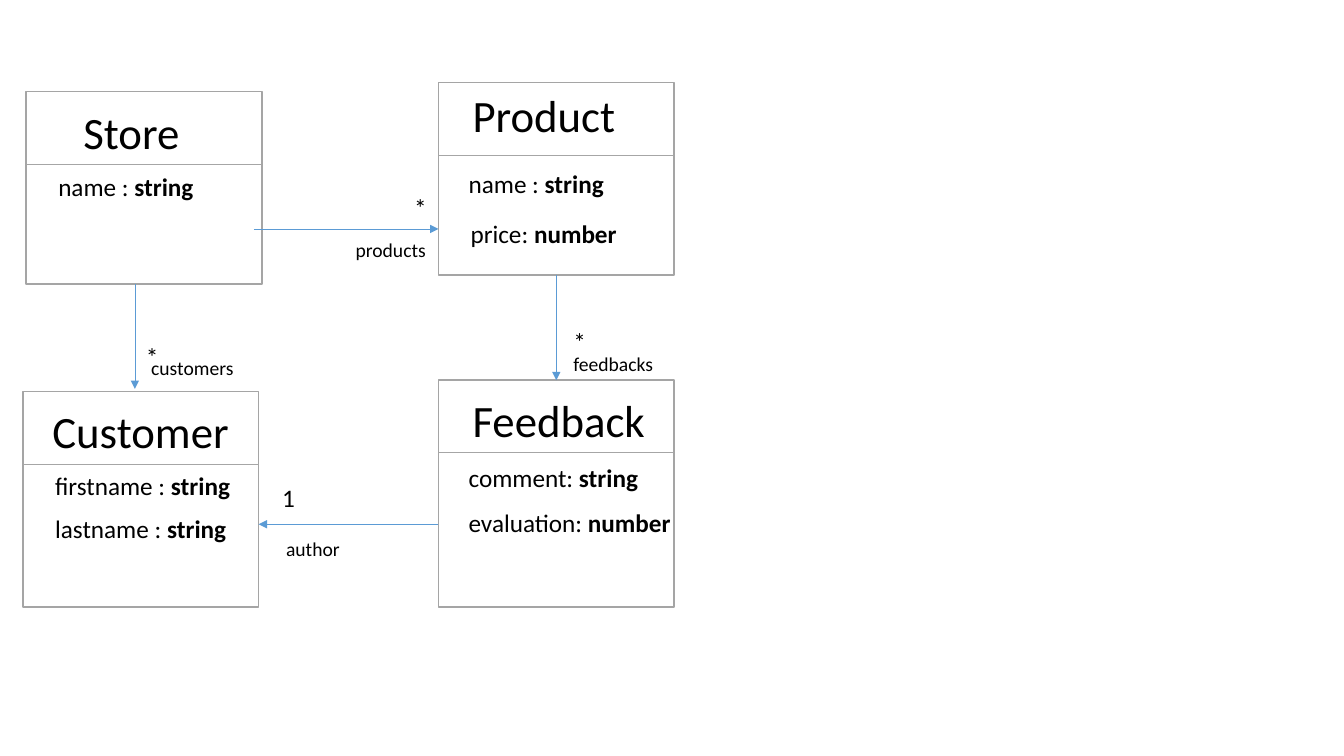
from dataclasses import dataclass
from lxml.etree import SubElement
from pptx import Presentation
from pptx.dml.color import RGBColor as Rgb
from pptx.enum.shapes import MSO_CONNECTOR as Link, MSO_SHAPE as Form
from pptx.enum.text import MSO_AUTO_SIZE as Fit
from pptx.oxml.ns import qn
from pptx.util import Cm, Pt


@dataclass
class Theme:
    font: str = "Calibri"
    ink: str = "000000"
    paper: str = "FFFFFF"
    edge: str = "A5A5A5"
    rule: str = "A6A6A6"
    arrow: str = "5B9BD5"
    title: int = 32
    body: int = 18
    small: int = 14


theme = Theme()
HIGH = {theme.title: 1.63, theme.body: 1.02, theme.small: 0.86}  # text heights
WIDE, HEAD, MARK = 5.94, 1.83, 0.84  # class width, header height, mark width

# Content: lengths in cm; text places are left, top, width
classes = [
    dict(name="Store", box=(0.66, 2.31, 4.85), at=(1.85, 2.51, 2.95),
         fields=[("name : ", "string", (1.22, 4.19, 4.01))]),
    dict(name="Product", box=(11.05, 2.08, 4.85), at=(11.66, 2.08, 4.14),
         fields=[("name : ", "string", (11.56, 4.11, 3.96)),
                 ("price: ", "number", (11.61, 5.38, 4.24))]),
    dict(name="Feedback", box=(11.05, 9.58, 5.72), at=(11.66, 9.78, 4.9),
         fields=[("comment: ", "string", (11.56, 11.53, 4.83)),
                 ("evaluation: ", "number", (11.56, 12.67, 5.66))]),
    dict(name="Customer", box=(0.58, 9.86, 5.44), at=(1.07, 10.06, 5.0),
         fields=[("firstname : ", "string", (1.14, 11.73, 4.98)),
                 ("lastname : ", "string", (1.14, 12.8, 4.88))]),
]
# Role, its place, count, its place, arrow from x, y to x, y
links = [
    ("products", (8.71, 5.87, 2.31), "*", (10.19, 4.72), (6.4, 5.77, 11.05, 5.77)),
    ("feedbacks", (14.2, 8.74, 2.54), "*", (14.2, 8.1), (14.02, 6.92, 14.02, 9.58)),
    ("customers", (3.56, 8.84, 2.62), "*", (3.43, 8.48), (3.4, 7.16, 3.4, 9.8)),
    ("author", (6.96, 13.41, 1.88), "1", (6.86, 12.04), (11.05, 13.21, 6.52, 13.21)),
]

deck = Presentation()
deck.slide_width, deck.slide_height = Cm(33.87), Cm(19.05)
slide = deck.slides.add_slide(deck.slide_layouts[6])
shapes = slide.shapes


def write(at, size, text, kind=""):
    left, top, wide = at
    box = shapes.add_textbox(Cm(left), Cm(top), Cm(wide), Cm(HIGH[size]))
    frame = box.text_frame
    frame.word_wrap, frame.auto_size = False, Fit.SHAPE_TO_FIT_TEXT
    para = frame.paragraphs[0]
    font = para.font
    font.name, font.size = theme.font, Pt(size)
    font.color.rgb = Rgb.from_string(theme.ink)
    para.add_run().text = text
    if kind:
        run = para.add_run()
        run.text, run.font.bold = kind, True


def draw(ends, color, head=False):
    line = shapes.add_connector(Link.STRAIGHT, *map(Cm, ends))
    line.line.width = Pt(0.5)
    line.line.color.rgb = Rgb.from_string(color)
    if head:
        SubElement(line.line._get_or_add_ln(), qn("a:tailEnd"), type="triangle")
    SubElement(line._element.spPr, qn("a:effectLst"))


# Classes: frame, name, divider and fields
for item in classes:
    left, top, high = item["box"]
    rect = shapes.add_shape(Form.RECTANGLE, Cm(left), Cm(top), Cm(WIDE), Cm(high))
    rect.shadow.inherit = False
    rect.fill.solid()
    rect.fill.fore_color.rgb = Rgb.from_string(theme.paper)
    rect.line.color.rgb = Rgb.from_string(theme.edge)
    rect.line.width = Pt(1)
    write(item["at"], theme.title, item["name"])
    draw((left, top + HEAD, left + WIDE, top + HEAD), theme.rule)
    for label, kind, at in item["fields"]:
        write(at, theme.body, label, kind)

# Links: arrow, count and role
for role, at, count, spot, ends in links:
    draw(ends, theme.arrow, head=True)
    write((*spot, MARK), theme.body, count)
    write(at, theme.small, role)

deck.save("out.pptx")
